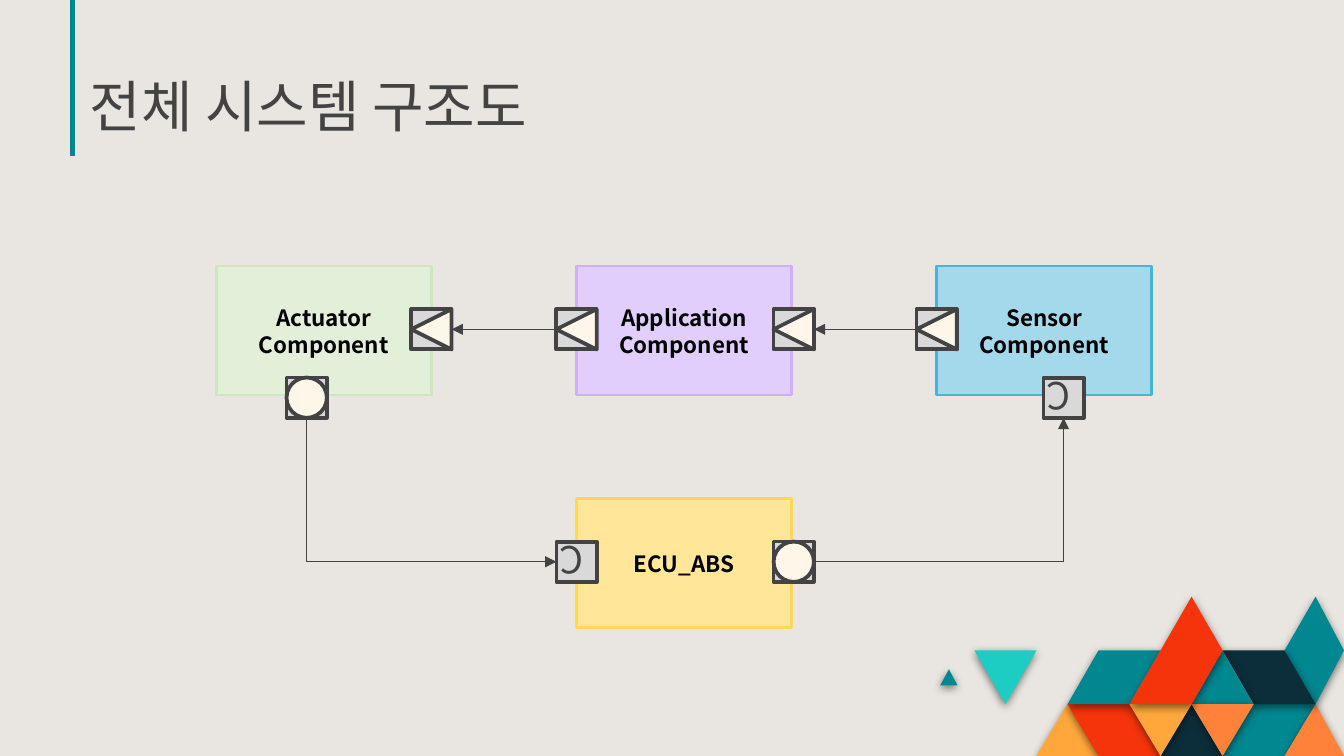
from itertools import pairwise
from lxml import etree
from pptx import Presentation
from pptx.dml.color import RGBColor
from pptx.enum.shapes import MSO_CONNECTOR, MSO_SHAPE
from pptx.enum.text import MSO_ANCHOR, PP_ALIGN
from pptx.oxml import parse_xml
from pptx.oxml.ns import qn
from pptx.util import Inches, Pt

RECT, OVAL, WEDGE = MSO_SHAPE.RECTANGLE, MSO_SHAPE.OVAL, MSO_SHAPE.ISOSCELES_TRIANGLE
LINE = MSO_CONNECTOR.STRAIGHT
CENTER, MIDDLE, BOTTOM = PP_ALIGN.CENTER, MSO_ANCHOR.MIDDLE, MSO_ANCHOR.BOTTOM
FONT = "Noto Sans CJK KR"
WIDE, HIGH = 10, 5.625
PORT = 0.3
NS = "http://schemas.openxmlformats.org/drawingml/2006/main"
SHADE = (f'<a:effectLst xmlns:a="{NS}"><a:outerShdw blurRad="57150" dist="19050" '
         'dir="5400000" algn="bl" rotWithShape="0"><a:srgbClr val="000000">'
         '<a:alpha val="50000"/></a:srgbClr></a:outerShdw></a:effectLst>')
COLORS = {
    "back": "E9E6E1", "ink": "434343", "black": "000000", "port": "D9D9D9",
    "cream": "FFF6EA", "teal": "018790", "aqua": "1DCDC3", "navy": "0C2E3A",
    "red": "F5340B", "amber": "FFA73B", "coral": "FF823B",
    "green": "E2F0D9", "green rim": "D0E6C2", "plum": "E1CEFC", "plum rim": "CEB0FA",
    "blue": "A4D9EC", "blue rim": "49B4D9", "gold": "FFE699", "gold rim": "FFD85B",
}


def tint(name):
    return RGBColor.from_string(COLORS[name])


def style(frame, text, size, color, bold=False, align=None):
    frame.text = text
    for para in frame.paragraphs:
        para.alignment = align
        for run in para.runs:
            font = run.font
            font.name, font.size, font.bold = FONT, Pt(size), bold
            font.color.rgb = tint(color)
            etree.SubElement(font._element, qn("a:ea")).set("typeface", FONT)


def add_form(slide, kind, box, fill, rim, width):
    form = slide.shapes.add_shape(kind, *map(Inches, box))
    form.shadow.inherit = False
    form.fill.solid()
    form.fill.fore_color.rgb = tint(fill)
    form.line.color.rgb = tint(rim)
    form.line.width = Pt(width)
    return form


def add_path(slide, points, color="ink", width=0.75, arrow=True):
    """Straight runs through the points, with an arrowhead on the last."""
    for start, end in pairwise(points):
        line = slide.shapes.add_connector(LINE, *map(Inches, (*start, *end)))
        line.line.color.rgb = tint(color)
        line.line.width = Pt(width)
        etree.SubElement(line._element.spPr, qn("a:effectLst"))
    if arrow:
        stroke = line.line._get_or_add_ln()
        etree.SubElement(stroke, qn("a:tailEnd")).set("type", "triangle")


def add_title(slide, box, text):
    left, top, width, height = box
    # Rule that drops from the top edge
    add_path(slide, [(left - 0.03, 0), (left - 0.03, top + height + 0.03)], "teal", 2.25, False)
    frame = slide.shapes.add_textbox(*map(Inches, box)).text_frame
    frame.word_wrap = True
    frame.vertical_anchor = BOTTOM
    frame.margin_top = frame.margin_bottom = Inches(0.1)
    style(frame, text, 30, "ink")


def add_mosaic(slide, box):
    """Tiles on a grid of 12 half-triangle columns and 3 rows."""
    left, top, width, height = box
    tiles = [
        ("amber", [(2, 3), (3, 2), (4, 3)]),
        ("red", [(3, 2), (5, 2), (6, 3), (4, 3)]),
        ("teal", [(8, 3), (9, 2), (11, 2), (10, 3)]),
        ("coral", [(10, 3), (11, 2), (12, 3)]),
        ("navy", [(6, 3), (7, 2), (8, 3)]),
        ("teal", [(3, 2), (4, 1), (6, 1), (5, 2)]),
        ("teal", [(-1.1, 1.65), (-0.82, 1.35), (-0.54, 1.65)]),
        ("aqua", [(0, 1), (2, 1), (1, 2)]),
        ("teal", [(10, 1), (11, 0), (12, 1), (11, 2)]),
        ("navy", [(8, 1), (10, 1), (11, 2), (9, 2)]),
        ("teal", [(7, 2), (8, 1), (9, 2)]),
        ("coral", [(7, 2), (9, 2), (8, 3)]),
        ("amber", [(5, 2), (7, 2), (6, 3)]),
        ("red", [(5, 2), (7, 0), (8, 1), (7, 2)]),
    ]
    for color, cells in tiles:
        points = [(Inches(min(left + col * width / 12, WIDE)),
                   Inches(min(top + row * height / 3, HIGH))) for col, row in cells]
        pen = slide.shapes.build_freeform(*points[0])
        pen.add_line_segments(points[1:])
        tile = pen.convert_to_shape()
        tile.fill.solid()
        tile.fill.fore_color.rgb = tint(color)
        tile.line.fill.background()
        tile._element.spPr.append(parse_xml(SHADE))


def add_port(slide, spot, kind):
    x, y = spot
    box = (x - PORT / 2, y - PORT / 2, PORT, PORT)
    base = add_form(slide, RECT, box, "port", "ink", 2)
    if kind == "C":
        base.rotation = 180
        style(base.text_frame, "C", 20, "ink", align=CENTER)
    else:
        mark = add_form(slide, kind, box, "cream", "ink", 2)
        mark.rotation = 270 if kind == WEDGE else 0


def add_diagram(slide, box):
    left, top, width, height = box
    wide, high = 0.23 * width, 0.357 * height
    across, down = (width - wide) / 2, height - high

    def spot(col, row, x, y):
        """Point at a share of the card in the given cell."""
        return left + col * across + x * wide, top + row * down + y * high

    # Cards
    cards = [
        (1, 1, "ECU_ABS", "gold"),
        (2, 0, "Sensor\nComponent", "blue"),
        (1, 0, "Application\nComponent", "plum"),
        (0, 0, "Actuator Component", "green"),
    ]
    for col, row, text, color in cards:
        card = add_form(slide, RECT, (*spot(col, row, 0, 0), wide, high),
                        color, color + " rim", 1.5)
        card.text_frame.vertical_anchor = MIDDLE
        style(card.text_frame, text, 12, "black", True, CENTER)

    # Ports, centred on the card edges
    act_in, act_out = spot(0, 0, 1, 0.49), spot(0, 0, 0.42, 1.02)
    app_in, app_out = spot(1, 0, 1.01, 0.49), spot(1, 0, 0, 0.49)
    sen_in, sen_out = spot(2, 0, 0.59, 1.02), spot(2, 0, 0, 0.49)
    ecu_in, ecu_out = spot(1, 1, 0, 0.49), spot(1, 1, 1.01, 0.49)

    # Flows, which stop at the rim of the target port
    half = PORT / 2
    add_path(slide, [ecu_out, (sen_in[0], ecu_out[1]), (sen_in[0], sen_in[1] + half)])
    add_path(slide, [sen_out, (app_in[0] + half, app_in[1])])
    add_path(slide, [act_out, (act_out[0], ecu_in[1]), (ecu_in[0] - half, ecu_in[1])])
    add_path(slide, [app_out, (act_in[0] + half, act_in[1])])

    ports = [(ecu_in, "C"), (act_out, OVAL), (sen_out, WEDGE), (ecu_out, OVAL),
             (sen_in, "C"), (app_in, WEDGE), (app_out, WEDGE), (act_in, WEDGE)]
    for place, kind in ports:
        add_port(slide, place, kind)


def main():
    deck = Presentation()
    deck.slide_width, deck.slide_height = Inches(WIDE), Inches(HIGH)
    slide = deck.slides.add_slide(deck.slide_layouts[6])
    slide.background.fill.solid()
    slide.background.fill.fore_color.rgb = tint("back")
    add_mosaic(slide, (7.25, 4.44, 2.77, 1.2))
    add_title(slide, (0.57, 0.5, 8.85, 0.63), "전체 시스템 구조도")
    add_diagram(slide, (1.61, 1.98, 6.96, 2.69))
    deck.save("out.pptx")


if __name__ == "__main__":
    main()
